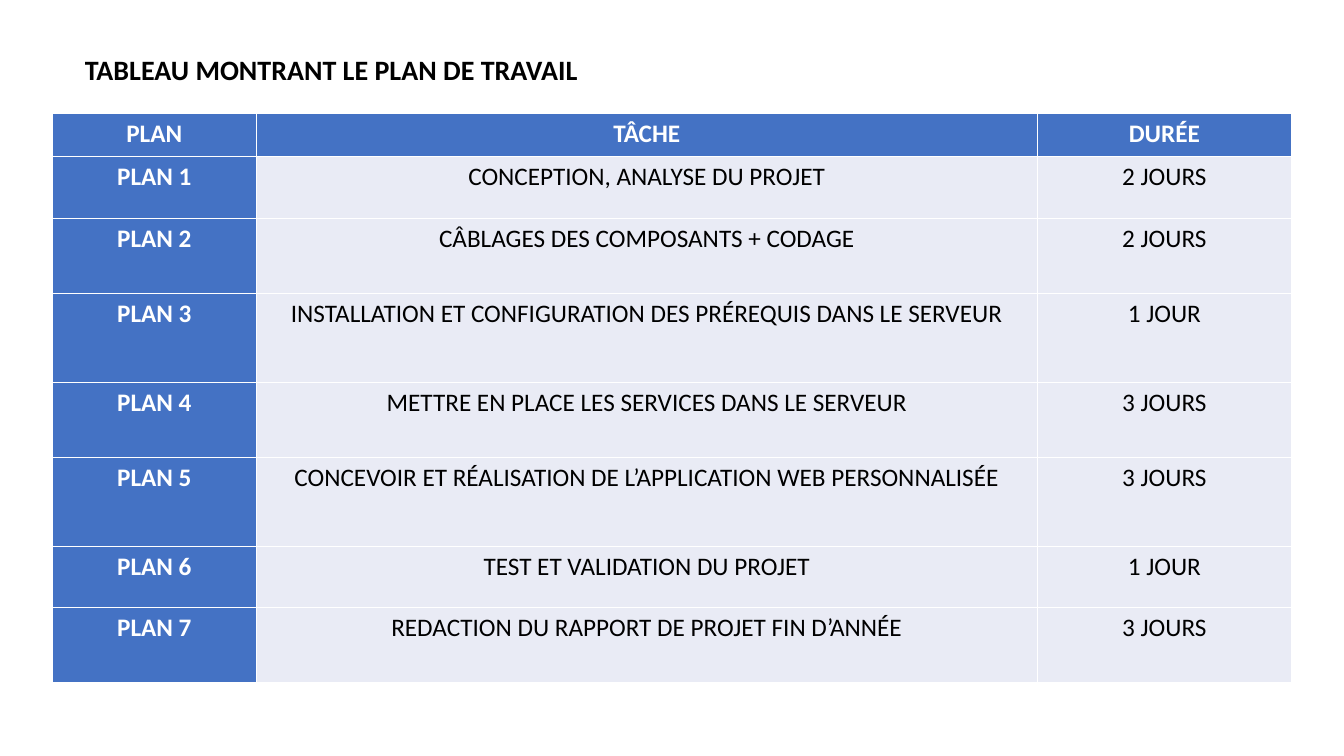
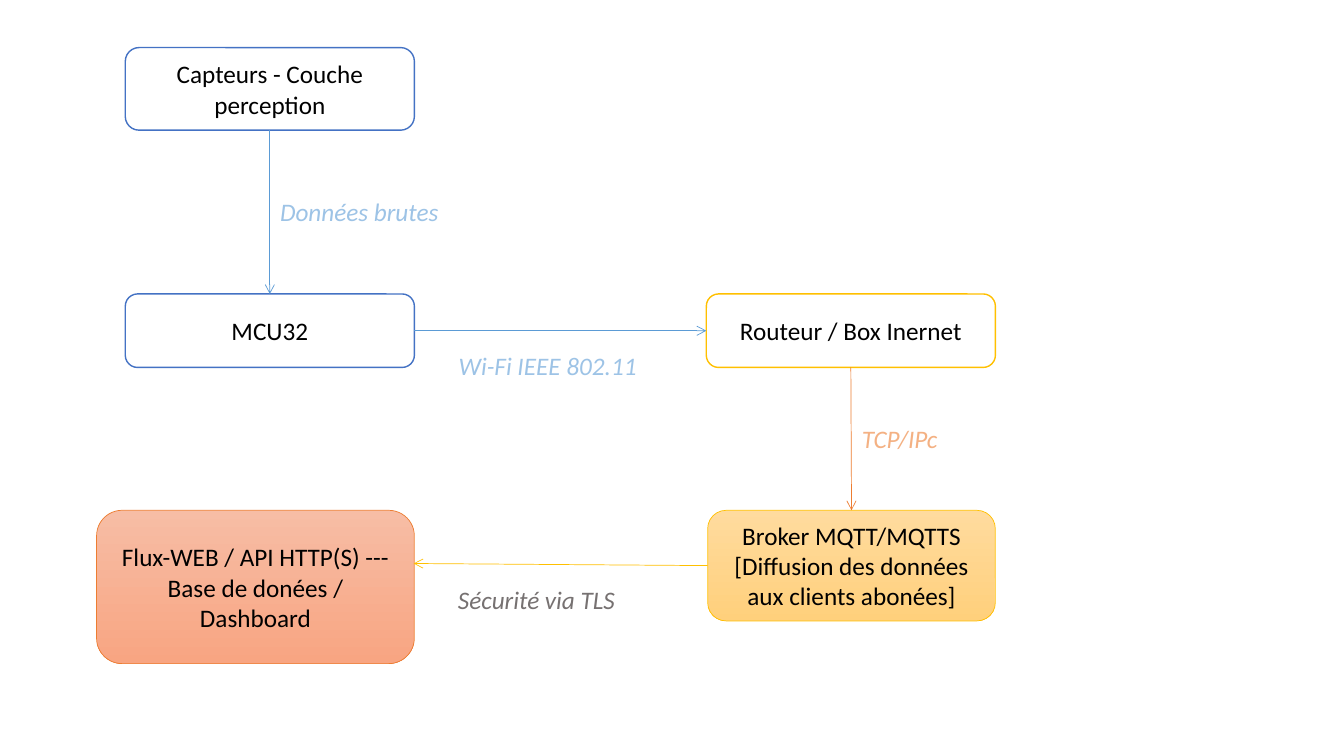
from dataclasses import dataclass, field
from typing import Any

from lxml.etree import SubElement
from pptx import Presentation
from pptx.dml.color import RGBColor as Color
from pptx.enum.shapes import MSO_CONNECTOR as Connector, MSO_SHAPE as Preset
from pptx.enum.text import MSO_ANCHOR as Anchor, MSO_AUTO_SIZE as AutoSize, PP_ALIGN as Align
from pptx.oxml.ns import qn
from pptx.util import Pt

TOP, LEFT, BOTTOM, RIGHT = range(4)


@dataclass(frozen=True)
class Theme:
    """Colours, font and type sizes of the deck."""
    font: str = "Calibri"
    title: int = 20
    body: int = 18
    black: str = "000000"
    white: str = "FFFFFF"
    blue: str = "4472C4"
    pale: str = "E9EBF5"
    sky: str = "5B9BD5"
    light_sky: str = "9DC3E6"
    orange: str = "ED7D31"
    light_orange: str = "F4B183"
    gold: str = "FFC000"
    grey: str = "767171"
    gold_fade: tuple = ("FFDB9E", "FFD07C")
    orange_fade: tuple = ("F7BDA5", "F8A582")


def assign(target, values):
    """Set the attributes named in a dict."""
    for name, value in values.items():
        setattr(target, name, value)


@dataclass
class Builder:
    """Draws styled elements on the current slide."""
    deck: Any
    theme: Theme = field(default_factory=Theme)
    page: Any = None

    def new_page(self):
        """Start a blank slide."""
        self.page = self.deck.slides.add_slide(self.deck.slide_layouts[6])

    def set_text(self, frame, text, color, align=Align.CENTER, **formats):
        """Fill a text frame, one paragraph per line."""
        frame.text = text
        values = {"name": self.theme.font, "size": Pt(self.theme.body), **formats}
        for para in frame.paragraphs:
            para.alignment = align
            for span in para.runs:
                assign(span.font, values)
                span.font.color.rgb = Color.from_string(color)

    def label(self, text, left, top, width, color, **formats):
        """Add a left-aligned text box that grows with its text."""
        box = self.page.shapes.add_textbox(Pt(left), Pt(top), Pt(width), Pt(29))
        assign(box.text_frame, {"word_wrap": True, "auto_size": AutoSize.SHAPE_TO_FIT_TEXT})
        self.set_text(box.text_frame, text, color, Align.LEFT, **formats)

    def table(self, rows, left, top, widths, heights):
        """Add a table with a header row and a header column."""
        theme = self.theme
        grid = self.page.shapes.add_table(
            len(rows), len(widths), Pt(left), Pt(top), Pt(sum(widths)), Pt(sum(heights))).table
        assign(grid, {"first_row": True, "first_col": True, "horz_banding": False})
        for column, width in zip(grid.columns, widths):
            column.width = Pt(width)
        for index, (row, texts) in enumerate(zip(grid.rows, rows)):
            row.height = Pt(heights[index])
            for position, (cell, text) in enumerate(zip(row.cells, texts)):
                header = index == 0 or position == 0
                cell.fill.solid()
                cell.fill.fore_color.rgb = Color.from_string(theme.blue if header else theme.pale)
                self.set_text(cell.text_frame, text, theme.white if header else theme.black,
                              bold=header)

    def node(self, text, left, top, width, height, line, weight=1, fade=None):
        """Add a rounded process box, white or with a vertical gradient."""
        box = self.page.shapes.add_shape(
            Preset.FLOWCHART_ALTERNATE_PROCESS, Pt(left), Pt(top), Pt(width), Pt(height))
        box.shadow.inherit = False
        if fade:
            box.fill.gradient()
            box.fill.gradient_angle = 270
            for stop, color in zip(box.fill.gradient_stops, fade):
                stop.color.rgb = Color.from_string(color)
        else:
            box.fill.solid()
            box.fill.fore_color.rgb = Color.from_string(self.theme.white)
        box.line.color.rgb = Color.from_string(line)
        box.line.width = Pt(weight)
        assign(box.text_frame, {"word_wrap": True, "vertical_anchor": Anchor.MIDDLE})
        self.set_text(box.text_frame, text, self.theme.black)
        return box

    def arrow(self, source, exit_side, color, target=None, entry_side=None, tip=(0, 0)):
        """Add an arrow from a box to another box or to a point."""
        line = self.page.shapes.add_connector(
            Connector.STRAIGHT, source.left, source.top, Pt(tip[0]), Pt(tip[1]))
        line.begin_connect(source, exit_side)
        if target is not None:
            line.end_connect(target, entry_side)
        line.line.color.rgb = Color.from_string(color)
        line.line.width = Pt(0.5)
        properties = line.element.spPr
        SubElement(properties.find(qn("a:ln")), qn("a:tailEnd"), type="arrow")
        SubElement(properties, qn("a:effectLst"))


def build_plan(builder):
    """Build the work plan slide."""
    theme = builder.theme
    builder.new_page()
    builder.label("TABLEAU MONTRANT LE PLAN DE TRAVAIL", 53.5, 34, 501, theme.black,
                  size=Pt(theme.title), bold=True)
    tasks = [
        ("CONCEPTION, ANALYSE DU PROJET", "2 JOURS"),
        ("CÂBLAGES DES COMPOSANTS + CODAGE", "2 JOURS"),
        ("INSTALLATION ET CONFIGURATION DES PRÉREQUIS DANS LE SERVEUR", "1 JOUR"),
        ("METTRE EN PLACE LES SERVICES DANS LE SERVEUR", "3 JOURS"),
        ("CONCEVOIR ET RÉALISATION DE L’APPLICATION WEB PERSONNALISÉE", "3 JOURS"),
        ("TEST ET VALIDATION DU PROJET", "1 JOUR"),
        ("REDACTION DU RAPPORT DE PROJET FIN D’ANNÉE", "3 JOURS"),
    ]
    rows = [("PLAN", "TÂCHE", "DURÉE")]
    rows += [(f"PLAN {number}", *task) for number, task in enumerate(tasks, 1)]
    builder.table(rows, 37.5, 81.2, (145.5, 558, 181.5),
                  (30.5, 44.5, 53.5, 63.5, 53.5, 63.5, 44, 53.5))


def build_flow(builder):
    """Build the data flow slide."""
    theme = builder.theme
    builder.new_page()
    left, right, width = 89.5, 504.5, 206.5
    middle, lower = 210, 364.5
    sensors = builder.node("Capteurs - Couche perception", left, 34, width, 59, theme.blue)
    board = builder.node("MCU32", left, middle, width, 52.5, theme.blue)
    router = builder.node("Routeur / Box Inernet", right, middle, width, 52.5, theme.gold)
    broker = builder.node("Broker MQTT/MQTTS\n[Diffusion des données aux clients abonées]",
                          505.5, lower, 205.5, 79, theme.gold, 0.5, theme.gold_fade)
    builder.node("Flux-WEB / API HTTP(S) --- Base de donées / Dashboard",
                 69, lower, 227, 109.5, theme.orange, 0.5, theme.orange_fade)
    builder.arrow(sensors, BOTTOM, theme.sky, board, TOP)
    builder.arrow(board, RIGHT, theme.sky, router, LEFT)
    builder.arrow(router, BOTTOM, theme.orange, broker, TOP)
    builder.arrow(broker, LEFT, theme.gold, tip=(295.5, 402.5))
    for text, x, y, color in (
        ("Données brutes", 193, 137, theme.light_sky),
        ("Wi-Fi IEEE 802.11", 320.5, 247, theme.light_sky),
        ("TCP/IPc", 608.5, 299, theme.light_orange),
        ("Sécurité via TLS", 320, 414, theme.grey),
    ):
        builder.label(text, x, y, 160.5, color, italic=True)


def main():
    """Build and save the deck."""
    deck = Presentation()
    assign(deck, {"slide_width": Pt(960), "slide_height": Pt(540)})
    builder = Builder(deck)
    build_plan(builder)
    build_flow(builder)
    deck.save("out.pptx")


if __name__ == "__main__":
    main()
